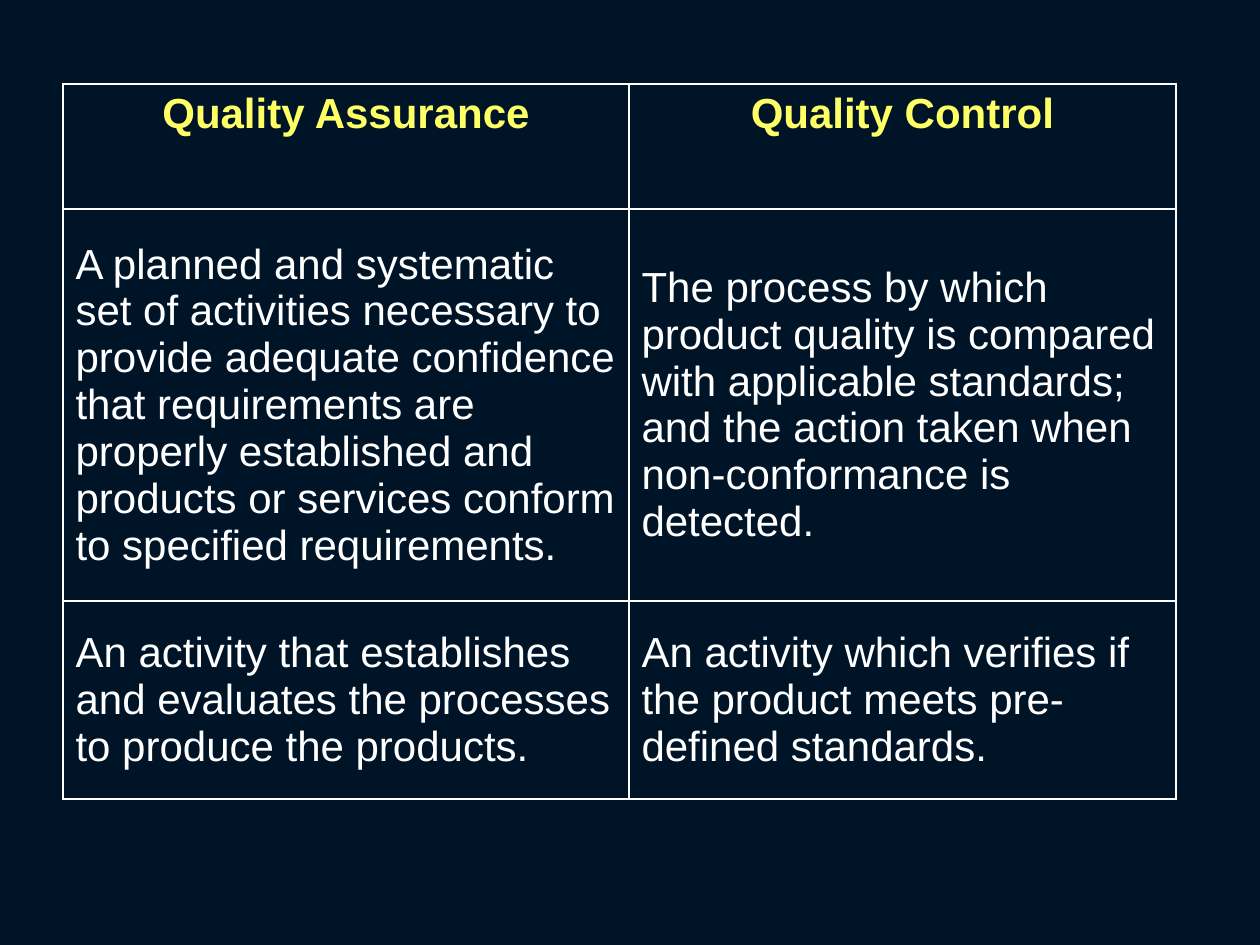
from pptx import Presentation
from pptx.dml.color import RGBColor
from pptx.enum.text import MSO_ANCHOR, PP_ALIGN
from pptx.oxml.ns import qn
from pptx.util import Emu, Pt
from lxml import etree

CENTER, LEFT = PP_ALIGN.CENTER, PP_ALIGN.LEFT
TOP, MIDDLE = MSO_ANCHOR.TOP, MSO_ANCHOR.MIDDLE

COLORS = {"background": "001428", "heading": "FFFF66", "body": "FFFFFF", "border": "FFFFFF"}
EMU_PER_INCH = 914400
PX_PER_INCH = 126


def px(length):
    return Emu(round(length * EMU_PER_INCH / PX_PER_INCH))


class SlideBuilder:
    font = "Arial"
    size = Pt(24)
    border_width = Pt(1)

    def __init__(self, slide):
        self.slide = slide

    def color(self, name):
        return RGBColor.from_string(COLORS[name])

    def background(self):
        fill = self.slide.background.fill
        fill.solid()
        fill.fore_color.rgb = self.color("background")

    def table(self, left, top, widths, heights, rows):
        frame = self.slide.shapes.add_table(
            len(rows), len(widths), px(left), px(top), px(sum(widths)), px(sum(heights)))
        table = frame.table
        table.horz_banding = False
        for column, width in zip(table.columns, widths):
            column.width = px(width)
        for row, height in zip(table.rows, heights):
            row.height = px(height)
        for r, texts in enumerate(rows):
            for c, text in enumerate(texts):
                self.cell(table.cell(r, c), text, heading=r == 0)

    def cell(self, cell, text, heading):
        cell.vertical_anchor = TOP if heading else MIDDLE
        paragraph = cell.text_frame.paragraphs[0]
        paragraph.alignment = CENTER if heading else LEFT
        run = paragraph.add_run()
        run.text = text
        run.font.name = self.font
        run.font.size = self.size
        run.font.bold = heading
        run.font.color.rgb = self.color("heading" if heading else "body")
        self.borders(cell)
        cell.fill.background()

    def borders(self, cell):
        properties = cell._tc.get_or_add_tcPr()
        for side in ("lnL", "lnR", "lnT", "lnB"):
            line = etree.SubElement(properties, qn(f"a:{side}"), w=str(self.border_width))
            fill = etree.SubElement(line, qn("a:solidFill"))
            etree.SubElement(fill, qn("a:srgbClr"), val=COLORS["border"])


def main():
    deck = Presentation()
    deck.slide_width, deck.slide_height = px(1260), px(945)
    builder = SlideBuilder(deck.slides.add_slide(deck.slide_layouts[6]))
    builder.background()

    # Comparison table: headings, definitions, activities
    comparison = [
        ("Quality Assurance", "Quality Control"),
        ("A planned and systematic set of activities necessary to provide adequate "
         "confidence that requirements are properly established and products or "
         "services conform to specified requirements.",
         "The process by which product quality is compared with applicable standards; "
         "and the action taken when non-conformance is detected."),
        ("An activity that establishes and evaluates the processes to produce the products.",
         "An activity which verifies if the product meets pre-defined standards."),
    ]
    builder.table(63, 84, widths=(566, 547), heights=(125, 392, 198), rows=comparison)

    deck.save("out.pptx")


if __name__ == "__main__":
    main()
